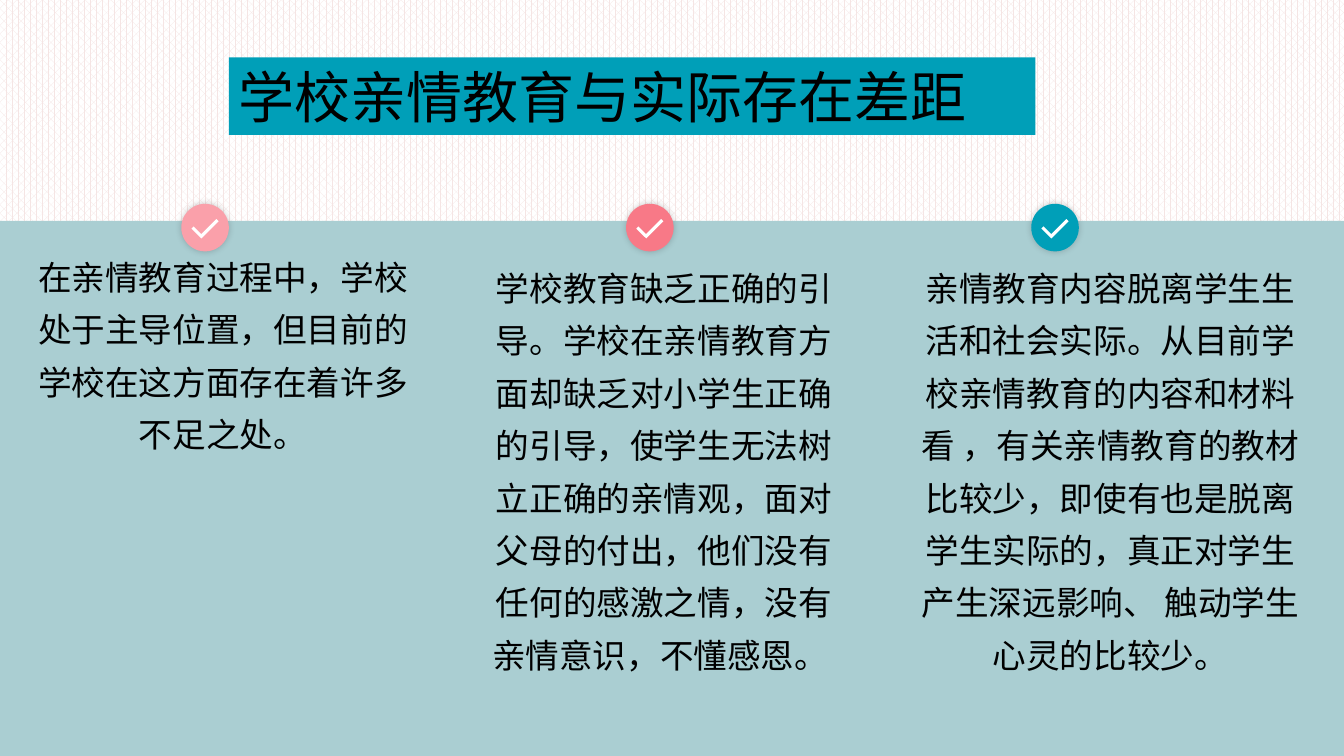
from dataclasses import dataclass

from lxml.etree import SubElement
from pptx import Presentation
from pptx.dml.color import RGBColor
from pptx.enum.dml import MSO_PATTERN
from pptx.enum.shapes import MSO_SHAPE
from pptx.enum.text import MSO_ANCHOR, MSO_AUTO_SIZE, PP_ALIGN
from pptx.oxml.ns import qn
from pptx.shapes.autoshape import Shape
from pptx.shapes.shapetree import GroupShapes
from pptx.slide import Slide
from pptx.text.text import TextFrame
from pptx.util import Pt

WHITE = RGBColor(0xFF, 0xFF, 0xFF)
BLACK = RGBColor(0x00, 0x00, 0x00)
BLUSH = RGBColor(0xF5, 0xE5, 0xE4)
MIST = RGBColor(0xAA, 0xCE, 0xD2)
TEAL = RGBColor(0x00, 0x9F, 0xB8)
PINK = RGBColor(0xFA, 0xA0, 0xAA)
CORAL = RGBColor(0xF8, 0x79, 0x87)

FONT = "Quicksand"
SLIDE_WIDTH, SLIDE_HEIGHT = 960, 540
PANEL_TOP = 157.7
BADGE_TOP, BADGE_SIZE = 145.6, 34
TICK_WIDTH, TICK_HEIGHT, TICK_DROP = 17.4, 10, 10


@dataclass(frozen=True)
class Column:
    """A paragraph of body text and the badge above it, in points."""

    left: float
    top: float
    width: float
    height: float
    badge_left: float
    badge_color: RGBColor
    text: str


COLUMNS = [
    Column(13, 171.4, 292.3, 158.4, 129.5, PINK,
           "在亲情教育过程中，学校处于主导位置，但目前的学校在这方面存在着许多不足之处。"),
    Column(337, 179.3, 274.3, 309.6, 447.2, CORAL,
           "学校教育缺乏正确的引导。学校在亲情教育方面却缺乏对小学生正确的引导，"
           "使学生无法树立正确的亲情观，面对父母的付出，他们没有任何的感激之情，"
           "没有亲情意识，不懂感恩。 "),
    Column(643, 179.3, 300.2, 309.6, 736.6, TEAL,
           "亲情教育内容脱离学生生活和社会实际。从目前学校亲情教育的内容和材料看 ，"
           "有关亲情教育的教材比较少，即使有也是脱离学生实际的，"
           "真正对学生产生深远影响、 触动学生心灵的比较少。"),
]


def add_filled(shapes: GroupShapes, kind: MSO_SHAPE, left: float, top: float,
               width: float, height: float, color: RGBColor) -> Shape:
    """Add a preset shape with a plain fill and no outline."""
    shape = shapes.add_shape(kind, Pt(left), Pt(top), Pt(width), Pt(height))
    shape.shadow.inherit = False
    shape.fill.solid()
    shape.fill.fore_color.rgb = color
    shape.line.fill.background()
    return shape


def add_soft_shadow(shape: Shape) -> None:
    """Give a shape a faint black glow-like shadow."""
    effects = shape.element.spPr.find(qn("a:effectLst"))
    shadow = SubElement(effects, qn("a:outerShdw"), blurRad=str(Pt(5)),
                        dist="0", dir="0", algn="ctr", rotWithShape="0")
    color = SubElement(shadow, qn("a:srgbClr"), val=str(BLACK))
    SubElement(color, qn("a:alpha"), val="20000")


def write(frame: TextFrame, text: str, size: float, align: PP_ALIGN,
          spacing: float) -> None:
    """Set and format one paragraph of black text."""
    frame.word_wrap = True
    frame.text = text
    paragraph = frame.paragraphs[0]
    paragraph.alignment = align
    paragraph.line_spacing = spacing
    font = paragraph.runs[0].font
    font.name = FONT
    font.size = Pt(size)
    font.color.rgb = BLACK


def add_badge(slide: Slide, left: float, color: RGBColor) -> None:
    """Add a round badge with a white tick."""
    shapes = slide.shapes.add_group_shape().shapes
    disc = add_filled(shapes, MSO_SHAPE.OVAL, left, BADGE_TOP,
                      BADGE_SIZE, BADGE_SIZE, color)
    add_soft_shadow(disc)
    tick = add_filled(shapes, MSO_SHAPE.CORNER,
                      left + (BADGE_SIZE - TICK_WIDTH) / 2,
                      BADGE_TOP + TICK_DROP, TICK_WIDTH, TICK_HEIGHT, WHITE)
    tick.adjustments[0] = 0.22
    tick.adjustments[1] = 0.21
    tick.rotation = 315


def add_column(slide: Slide, column: Column) -> None:
    """Add one badge and its body text."""
    add_badge(slide, column.badge_left, column.badge_color)
    box = slide.shapes.add_textbox(Pt(column.left), Pt(column.top),
                                   Pt(column.width), Pt(column.height))
    write(box.text_frame, column.text, 24, PP_ALIGN.CENTER, 1.3)


def format_title(slide: Slide, text: str) -> None:
    """Place the title as a teal bar."""
    title = slide.shapes.title
    title.left, title.top = Pt(163.5), Pt(41)
    title.width, title.height = Pt(576), Pt(55.4)
    title.fill.solid()
    title.fill.fore_color.rgb = TEAL
    frame = title.text_frame
    frame.auto_size = MSO_AUTO_SIZE.NONE
    frame.vertical_anchor = MSO_ANCHOR.TOP
    write(frame, text, 40, PP_ALIGN.LEFT, 1.0)


def main() -> None:
    """Build the slide and save it."""
    presentation = Presentation()
    presentation.slide_width = Pt(SLIDE_WIDTH)
    presentation.slide_height = Pt(SLIDE_HEIGHT)
    slide = presentation.slides.add_slide(presentation.slide_layouts[5])

    background = slide.background.fill
    background.patterned()
    background.pattern = MSO_PATTERN.PERCENT_60
    background.fore_color.rgb = BLUSH
    background.back_color.rgb = WHITE

    format_title(slide, "学校亲情教育与实际存在差距")
    add_filled(slide.shapes, MSO_SHAPE.RECTANGLE, 0, PANEL_TOP,
               SLIDE_WIDTH, SLIDE_HEIGHT - PANEL_TOP, MIST)
    for column in COLUMNS:
        add_column(slide, column)

    presentation.save("out.pptx")


main()
